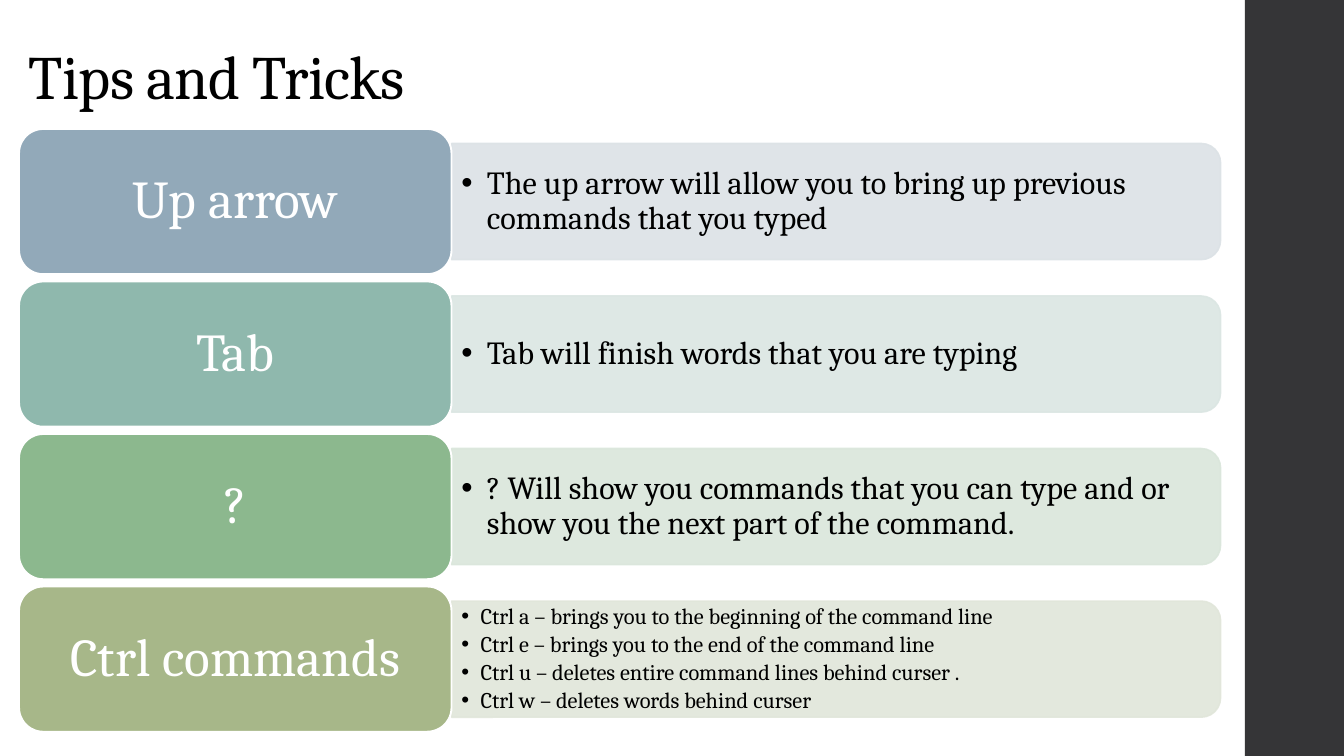
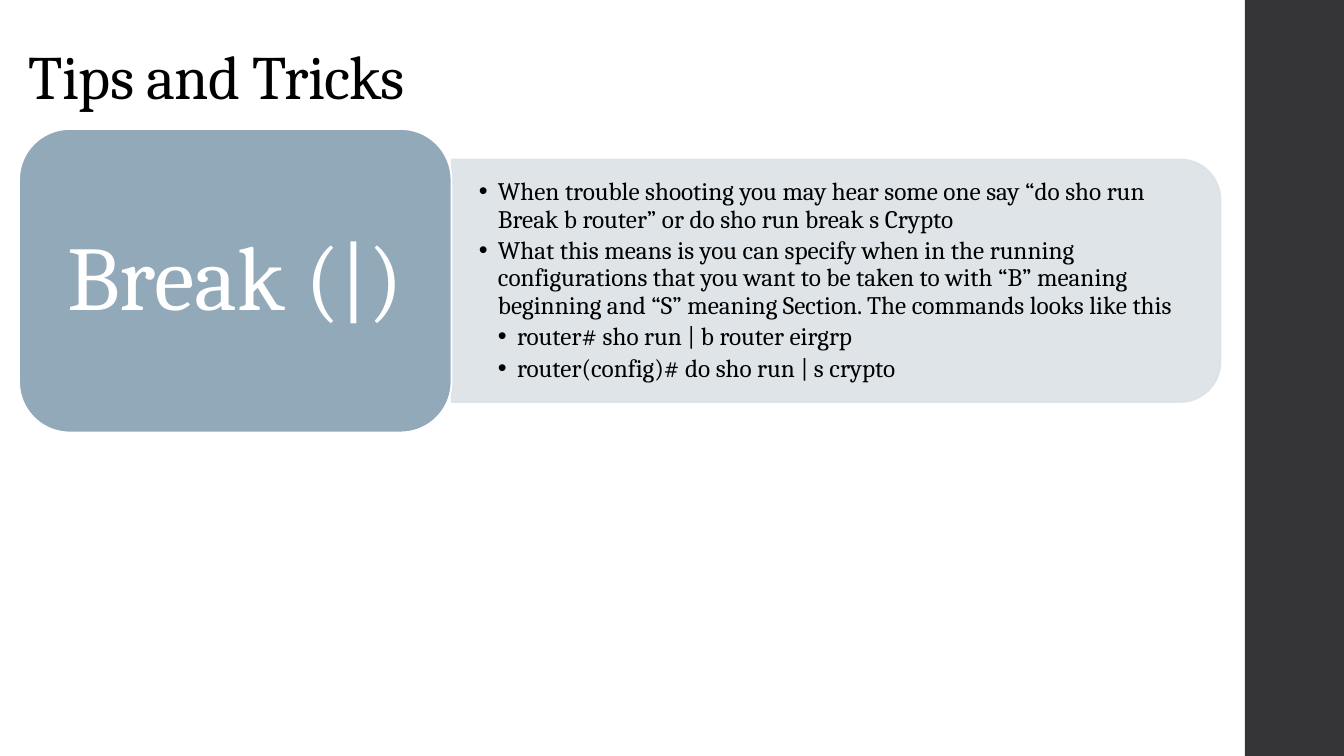
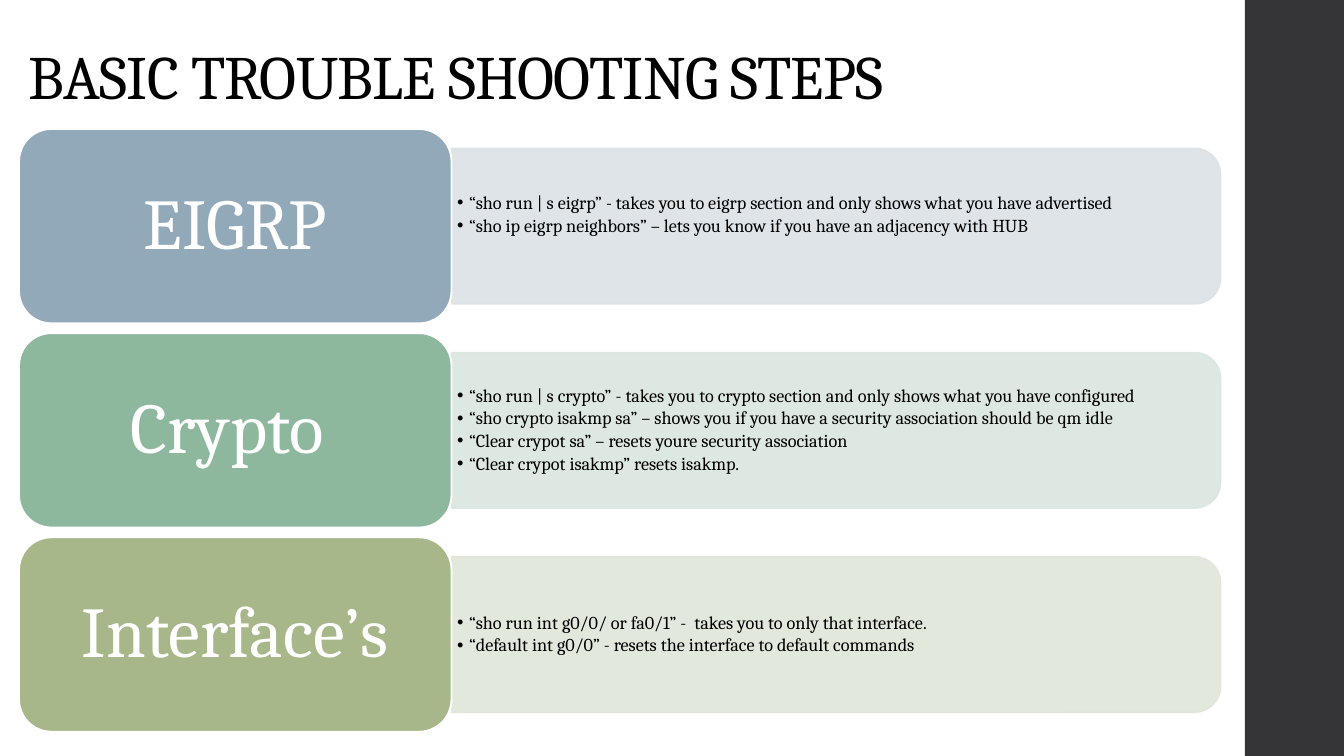
from lxml import etree
from pptx import Presentation
from pptx import util as u
from pptx.dml.color import RGBColor
from pptx.enum import shapes, text
from pptx.oxml.ns import qn

COLORS = {
    "ink": "000000", "white": "FFFFFF", "band": "353537",
    "blue": "92A9B9", "blue_pale": "DCE2E6",
    "teal": "8FB8AD", "teal_pale": "DBE6E3",
    "green": "8CB88E", "green_pale": "DAE6DB",
    "mint": "8EB89E", "mint_pale": "DBE6DF",
    "olive": "A7B789", "olive_pale": "E1E6DA",
}
FONT = "Cambria"

# Shared geometry in centimetres
SLIDE_W, SLIDE_H = 33.87, 19.05
BAND_LEFT = 31.37
ROWS_TOP, ROWS_HEIGHT = 3.25, 15.19
LABEL_LEFT, LABEL_W = 0.48, 10.9
PANEL_LEFT, PANEL_W = 11.38, 19.38
ROW_GAP = 0.05        # share of the row height
PANEL_SHARE = 0.8     # panel height as a share of the row height
CORNER = 0.0488       # text inset caused by a rounded corner
COMPARISON = 4        # layout with a title and four bodies


def rgb(name):
    return RGBColor.from_string(COLORS[name])


def write(paragraph, words, size, color="ink", align=text.PP_ALIGN.LEFT,
          after=0, indent=None, level=0, tracking=None):
    """Fill one paragraph; an indent in cm makes it a bullet."""
    paragraph.alignment = align
    paragraph.line_spacing = 0.9
    paragraph.space_before = u.Pt(0)
    paragraph.space_after = u.Pt(round(after, 1))
    if indent:
        paragraph.level = level
        props = paragraph._p.get_or_add_pPr()
        props.set("marL", str(u.Cm(indent * (level + 1))))
        props.set("indent", str(-u.Cm(indent)))
        etree.SubElement(props, qn("a:buFont")).set("typeface", "Arial")
        etree.SubElement(props, qn("a:buChar")).set("char", "•")
    run = paragraph.add_run()
    run.text = words
    run.font.name, run.font.size, run.font.bold = FONT, u.Pt(size), False
    run.font.color.rgb = rgb(color)
    if tracking:
        run.font._element.get_or_add_rPr().set("spc", str(tracking)) \
            if hasattr(run.font._element, "get_or_add_rPr") \
            else run.font._element.set("spc", str(tracking))


def place(shape, left, top, width, height):
    shape.left, shape.top = u.Cm(left), u.Cm(top)
    shape.width, shape.height = u.Cm(width), u.Cm(height)


def set_frame(frame, anchor, pad_x=0.25, pad_y=0.13, lift=0):
    frame.word_wrap = True
    frame.auto_size = text.MSO_AUTO_SIZE.NONE
    frame.vertical_anchor = anchor
    frame.margin_left = frame.margin_right = u.Cm(pad_x)
    frame.margin_top, frame.margin_bottom = u.Cm(pad_y), u.Cm(pad_y + lift)


class Deck:
    def __init__(self):
        self.prs = Presentation()
        self.prs.slide_width, self.prs.slide_height = u.Cm(SLIDE_W), u.Cm(SLIDE_H)
        self.layout = self.prs.slide_layouts[COMPARISON]
        self.slide = None
        self.bodies = []

    def add_slide(self, title, title_width=26.92):
        first = self.slide is None
        self.slide = self.prs.slides.add_slide(self.layout)
        self.bodies = [p for p in self.slide.placeholders
                       if p.placeholder_format.idx in (1, 2, 3, 4)]
        if first:
            self.side_band()
        heading = self.slide.shapes.title
        place(heading, LABEL_LEFT, -0.71, title_width, 3.68)
        set_frame(heading.text_frame, text.MSO_ANCHOR.BOTTOM)
        write(heading.text_frame.paragraphs[0], title, 44, after=6, tracking=-50)

    def side_band(self):
        """Draw the dark band and hand it to the layout all slides use."""
        band = self.block(shapes.MSO_SHAPE.RECTANGLE, BAND_LEFT, 0,
                          SLIDE_W - BAND_LEFT, SLIDE_H, "band")
        self.layout.shapes._spTree.insert(2, band._element)

    def block(self, kind, left, top, width, height, fill, line=None, weight=1):
        shape = self.slide.shapes.add_shape(
            kind, u.Cm(left), u.Cm(top), u.Cm(width), u.Cm(height))
        shape.shadow.inherit = False
        shape.fill.solid()
        shape.fill.fore_color.rgb = rgb(fill)
        if line:
            shape.line.color.rgb = rgb(line)
            shape.line.width = u.Pt(weight)
        else:
            shape.line.fill.background()
        return shape

    def panel(self, middle, height, color):
        """Pale panel rounded on its right side only."""
        panel = self.block(
            shapes.MSO_SHAPE.ROUND_2_SAME_RECTANGLE,
            PANEL_LEFT + (PANEL_W - height) / 2, middle - PANEL_W / 2,
            height, PANEL_W, color, color, 1.1)
        panel.rotation = 90
        for tint in panel._element.spPr.iter(qn("a:srgbClr")):
            etree.SubElement(tint, qn("a:alpha")).set("val", "90000")

    def label(self, words, top, height, color, size):
        label = self.block(shapes.MSO_SHAPE.ROUNDED_RECTANGLE, LABEL_LEFT, top,
                           LABEL_W, height, color, "white", 1.35)
        pad = size * 0.0106
        set_frame(label.text_frame, text.MSO_ANCHOR.MIDDLE, pad, pad / 2)
        write(label.text_frame.paragraphs[0], words, size, "white",
              text.PP_ALIGN.CENTER)

    def bullets(self, items, middle, height, size, indent, pad, lift):
        body = self.bodies.pop(0)
        self.slide.shapes._spTree.append(body._element)  # in front of the panel
        inset = height * CORNER
        place(body, PANEL_LEFT, middle - height / 2 + inset,
              PANEL_W - inset, height - 2 * inset)
        frame = body.text_frame
        set_frame(frame, text.MSO_ANCHOR.MIDDLE, pad, pad / 2, lift)
        for i, item in enumerate(items):
            level, words = item if isinstance(item, tuple) else (0, item)
            paragraph = frame.add_paragraph() if i else frame.paragraphs[0]
            write(paragraph, words, size, after=size * 0.17,
                  indent=indent, level=level)

    def rows(self, rows, label_size, pad, height=None):
        """Stack rows of (label, colour, size, indent, items, lift)."""
        count = len(rows)
        height = height or ROWS_HEIGHT / (count + (count - 1) * ROW_GAP)
        for i, (words, color, size, indent, items, lift) in enumerate(rows):
            top = ROWS_TOP + i * height * (1 + ROW_GAP)
            middle = top + height / 2
            self.panel(middle, height * PANEL_SHARE, color + "_pale")
            self.label(words, top, height, color, label_size)
            self.bullets(items, middle, height * PANEL_SHARE, size, indent, pad, lift)
        for unused in self.bodies:
            unused._element.getparent().remove(unused._element)


def main():
    deck = Deck()

    # Keyboard shortcuts
    deck.add_slide("Tips and Tricks")
    deck.rows([
        ("Up arrow", "blue", 23, 0.64,
         ["The up arrow will allow you to bring up previous commands that you typed"], 0),
        ("Tab", "teal", 23, 0.64, ["Tab will finish words that you are typing"], 0),
        ("?", "green", 23, 0.64,
         ["? Will show you commands that you can type and or show you the next part "
          "of the command."], 0),
        ("Ctrl commands", "olive", 16, 0.48,
         ["Ctrl a – brings you to the beginning of the command line",
          "Ctrl e – brings you to the end of the command line",
          "Ctrl u – deletes entire command lines behind curser .",
          "Ctrl w – deletes words behind curser"], 0),
    ], label_size=38, pad=0.25)

    # Break
    deck.add_slide("Tips and Tricks")
    deck.rows([
        ("Break (|)", "blue", 18, 0.48,
         ["When trouble shooting you may hear some one say “do sho run Break b router” "
          "or do sho run break s Crypto",
          "What this means is you can specify when in the running configurations that "
          "you want to be taken to with “B” meaning beginning and “S” meaning Section. "
          "The commands looks like this",
          (1, "router# sho run | b router eirgrp"),
          (1, "router(config)# do sho run | s crypto")], 0),
    ], label_size=65, pad=0.69, height=7.65)

    # Troubleshooting
    deck.add_slide("BASIC TROUBLE SHOOTING STEPS", title_width=28.98)
    deck.rows([
        ("EIGRP", "blue", 13, 0.3,
         ["“sho run | s eigrp” - takes you to eigrp section and only shows what you "
          "have advertised",
          "“sho ip eigrp neighbors” – lets you know if you have an adjacency with HUB"],
         0.56),
        ("Crypto ", "mint", 13, 0.3,
         ["“sho run | s crypto” - takes you to crypto section and only shows what you "
          "have configured",
          "“sho crypto isakmp sa” – shows you if you have a security association "
          "should be qm idle",
          "“Clear crypot sa” – resets youre security association",
          "“Clear crypot isakmp” resets isakmp."], 0),
        ("Interface’s", "olive", 13, 0.3,
         ["“sho run int g0/0/ or fa0/1” -  takes you to only that interface.",
          "“default int g0/0” - resets the interface to default commands"], 0),
    ], label_size=51, pad=0.14)

    deck.prs.save("out.pptx")


if __name__ == "__main__":
    main()
